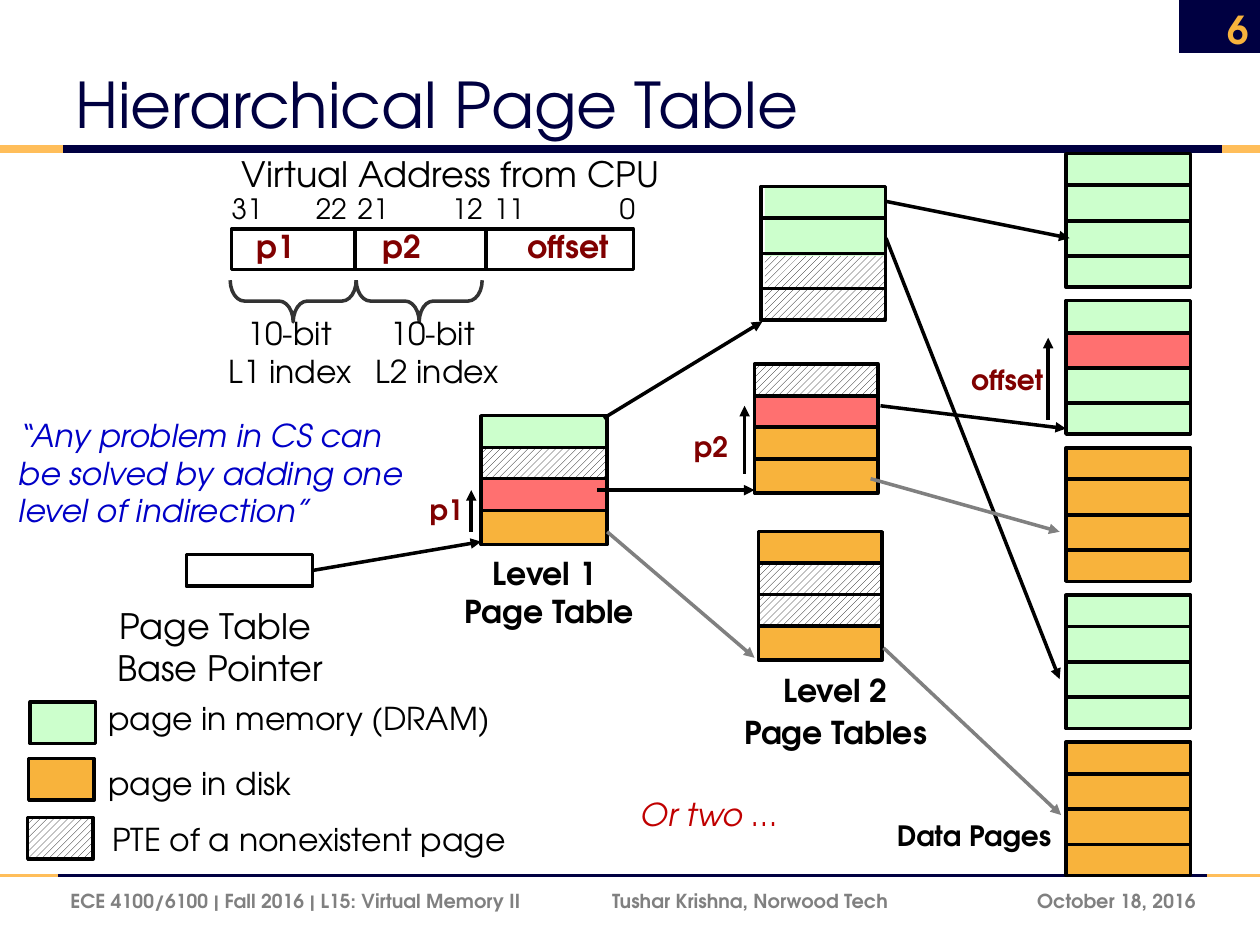
from pptx import Presentation
from pptx.dml.color import RGBColor
from pptx.enum.dml import MSO_PATTERN
from pptx.enum.shapes import MSO_CONNECTOR, MSO_SHAPE
from pptx.enum.text import MSO_ANCHOR as Anchor, PP_ALIGN as Align
from pptx.oxml.ns import qn
from pptx.util import Cm, Pt
from lxml.etree import SubElement

FONT = "TeX Gyre Adventor"
COLORS = {
    "navy": "000041", "gold": "FFBE5A", "disk": "F8B33C", "memory": "CCFFCC",
    "active": "FF7070", "black": "000000", "white": "FFFFFF", "gray": "808080",
    "maroon": "800000", "blue": "0000C7", "red": "C00000", "brace": "333333",
}

RULES = [
    (6.95, 2.25, [0, 0.46, 9.58, 10]),
    (1.18, 4.5, [0, 0.5, 9.7, 10]),
]
DATA_PAGES = ["memory", "memory", "disk", "memory", "disk"]
DATA_LEFT, DATA_TOP, DATA_STEP = 8.46, 1.22, 1.1675
FRAME_WIDTH, FRAME_HEIGHT, FRAME_LINES = 0.99, 1.06, (0.25, 0.53, 0.81)
ROW_HEIGHT, ROW_STEP = 0.27, 0.25
TABLES = [
    (3.82, 3.3, 1, ["memory", "hatch", "active", "disk"]),
    (5.99, 2.89, 0.98, ["hatch", "active", "disk", "disk"]),
    (6.02, 4.22, 0.98, ["disk", "hatch", "hatch", "disk"]),
]
ARROWS = [
    (6.99, 3.22, 8.46, 3.4, "black"),
    (4.79, 3.32, 6.05, 2.55, "black"),
    (4.74, 3.89, 5.99, 3.89, "black"),
    (4.82, 4.22, 5.99, 5.22, "gray"),
    (7.03, 1.6, 8.49, 1.89, "black"),
    (7.03, 1.89, 8.41, 5.39, "black"),
    (6.91, 3.8, 8.41, 4.22, "gray"),
    (7.01, 5.14, 8.42, 6.47, "gray"),
    (3.74, 4.22, 3.74, 3.89, "black"),
    (5.91, 3.76, 5.91, 3.22, "black"),
    (8.32, 3.33, 8.32, 2.68, "black"),
]
LEGEND = [
    (0.24, 5.57, "memory", 5.5, 0.76, 3.25, "page in memory (DRAM)"),
    (0.23, 6.02, "disk", 6.01, 0.76, 1.67, "page in disk"),
    (0.22, 6.49, "hatch", 6.46, 0.79, 3.36, "PTE of a nonexistent page"),
]
BIT_NUMBERS = [(1.74, "31"), (2.41, "22"), (2.74, "21"), (3.49, "12"), (3.82, "11"), (4.82, "0")]
FIELDS = [(1.94, "p1"), (2.94, "p2"), (4.09, "offset")]
POINTER_LABELS = [
    (3.31, 3.86, 0.47, "p1"), (5.41, 3.36, 0.47, "p2"), (7.61, 2.83, 0.78, "offset"),
]
INDEXES = [(2.16, 1.7, ["10-bit", "L1 index"]), (3.16, 2.87, ["10-bit ", "L2 index"])]
FOOTERS = [
    (0.46, 4.2, "ECE 4100/6100 | Fall 2016 | L15: Virtual Memory II", Align.LEFT),
    (4.76, 2.8, "Tushar Krishna, Norwood Tech", Align.LEFT),
    (7.67, 1.92, "October 18, 2016", Align.RIGHT),
]

deck = Presentation()


def inches(value):
    return Cm(round(value * 2.54, 2))


def rgb(name):
    return RGBColor.from_string(COLORS[name])


deck.slide_width, deck.slide_height = inches(10), inches(7.5)
page = deck.slides.add_slide(deck.slide_layouts[6])


def add_text(text, left, top, width, height, size=18, color="black", bold=False,
             italic=False, align=Align.LEFT, anchor=Anchor.TOP, wrap=False, gap=0):
    box = page.shapes.add_textbox(*map(inches, (left, top, width, height)))
    frame = box.text_frame
    frame.word_wrap = wrap
    frame.vertical_anchor = anchor
    lines = [text] if isinstance(text, str) else text
    for index, line in enumerate(lines):
        para = frame.paragraphs[0] if index == 0 else frame.add_paragraph()
        para.alignment = align
        para.space_before = Pt(gap if index else 0)
        span = para.add_run()
        span.text = line
        font = span.font
        font.name, font.size, font.bold, font.italic = FONT, Pt(size), bold, italic
        font.color.rgb = rgb(color)


def add_box(left, top, width, height, fill=None, line="black", kind=MSO_SHAPE.RECTANGLE):
    box = page.shapes.add_shape(kind, *map(inches, (left, top, width, height)))
    box.shadow.inherit = False
    if fill is None:
        box.fill.background()
    elif fill == "hatch":
        box.fill.patterned()
        box.fill.pattern = MSO_PATTERN.WIDE_UPWARD_DIAGONAL
        box.fill.fore_color.rgb = rgb("black")
        box.fill.back_color.rgb = rgb("white")
    else:
        box.fill.solid()
        box.fill.fore_color.rgb = rgb(fill)
    if line is None:
        box.line.fill.background()
    else:
        box.line.color.rgb = rgb(line)
        box.line.width = Pt(2)
    return box


def add_line(x1, y1, x2, y2, color="black", width=2, arrow=False):
    line = page.shapes.add_connector(MSO_CONNECTOR.STRAIGHT, *map(inches, (x1, y1, x2, y2)))
    line.line.color.rgb = rgb(color)
    line.line.width = Pt(width)
    if arrow:
        SubElement(line.line._get_or_add_ln(), qn("a:tailEnd"), type="triangle")
    SubElement(line._element.spPr, qn("a:effectLst"))
    return line


def add_frame(left, top, fill=None):
    add_box(left, top, FRAME_WIDTH, FRAME_HEIGHT, fill)
    for offset in FRAME_LINES:
        add_line(left, top + offset, left + FRAME_WIDTH, top + offset)


add_box(9.36, 0, 0.68, 0.42, "navy", None)
for y, weight, stops in RULES:
    for start, end, color in zip(stops, stops[1:], ("gold", "navy", "gold")):
        add_line(start, y, end, y, color, weight)
add_text("Hierarchical Page Table", 0.5, 0.17, 8.18, 1, size=36, color="navy",
         anchor=Anchor.BOTTOM, wrap=True)
add_text("6", 9.34, 0.03, 0.67, 0.4, size=22, color="disk", bold=True,
         align=Align.RIGHT, anchor=Anchor.MIDDLE, wrap=True)
for left, width, text, align in FOOTERS:
    add_text(text, left, 6.95, width, 0.4, size=11, color="gray", bold=True,
             align=align, anchor=Anchor.MIDDLE, wrap=True)

for index, fill in enumerate(DATA_PAGES):
    add_frame(DATA_LEFT, DATA_TOP + index * DATA_STEP, fill)
add_box(DATA_LEFT, 2.64, FRAME_WIDTH, 0.28, "active")
add_box(6.07, 1.48, 0.96, 0.55, "memory", None)
add_box(6.07, 2.03, 0.96, 0.52, "hatch", None)
add_frame(6.04, 1.48)
for left, top, width, fills in TABLES:
    for index, fill in enumerate(fills):
        add_box(left, top + index * ROW_STEP, width, ROW_HEIGHT, fill)

for *ends, color in ARROWS:
    add_line(*ends, color, arrow=True)
base_pointer = add_box(1.48, 4.4, 1, 0.25, "white")
add_line(2.48, 4.53, 3.82, 4.3, arrow=True).begin_connect(base_pointer, 3)

add_text("Virtual Address from CPU", 1.82, 1.16, 3.56, 0.43, size=20)
add_box(1.84, 1.82, 3.19, 0.32, "white")
for x in (2.82, 3.86):
    add_line(x, 1.83, x, 2.14)
for left, text in BIT_NUMBERS:
    add_text(text, left, 1.47, 0.5, 0.37, size=16, wrap=True)
for left, text in FIELDS:
    add_text(text, left, 1.75, 0.95, 0.4, color="maroon", bold=True, wrap=True)
for brace_left, text_left, text in INDEXES:
    brace = add_box(brace_left, 1.89, 0.33, 1, line="brace", kind=MSO_SHAPE.RIGHT_BRACE)
    brace.rotation = 90
    brace.adjustments[0] = 0.34
    add_text(text, text_left, 2.44, 1.2, 0.71, align=Align.CENTER)

for left, top, fill, text_top, text_left, width, text in LEGEND:
    add_box(left, top, 0.52, 0.33, fill)
    add_text(text, text_left, text_top, width, 0.4)
for left, top, width, text in POINTER_LABELS:
    add_text(text, left, top, width, 0.37, size=16, color="maroon", bold=True)
add_text(["Level 1 ", "Page Table"], 3.57, 4.35, 1.58, 0.7, bold=True, align=Align.CENTER)
add_text(["Level 2", "Page Tables"], 5.79, 5.28, 1.68, 0.74, bold=True,
         align=Align.CENTER, gap=2)
add_text("Data Pages", 7.02, 6.45, 1.45, 0.37, size=16, bold=True)
add_text(["Page Table ", "Base Pointer"], 0.82, 4.75, 1.86, 0.77, size=20, align=Align.CENTER)
add_text("“Any problem in CS can be solved by adding one level of indirection”",
         0.05, 3.25, 3.32, 1.01, color="blue", italic=True, wrap=True)
add_text("Or two …", 4.99, 6.26, 1.63, 0.4, color="red", italic=True, wrap=True)

deck.save("out.pptx")
